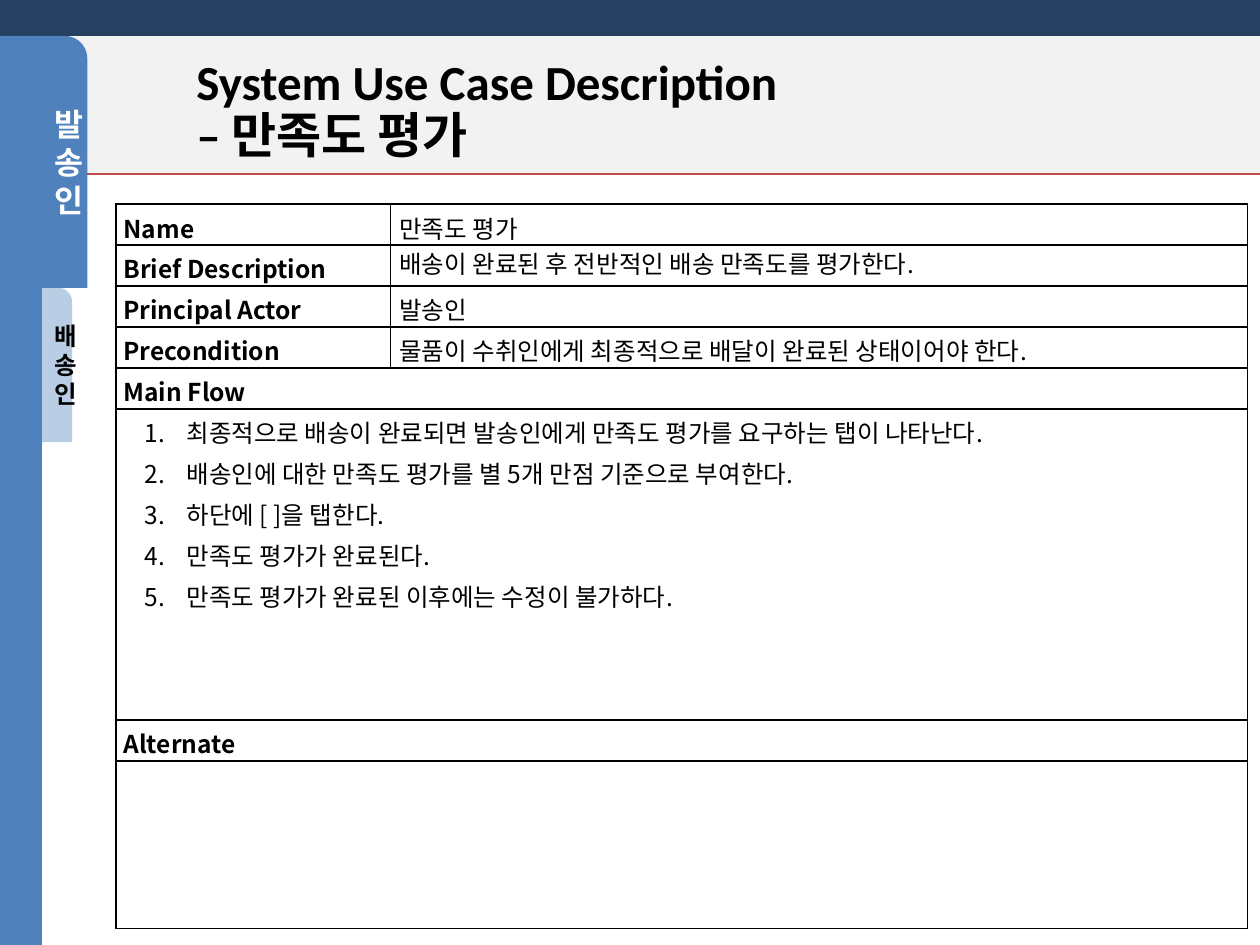
from lxml.etree import SubElement as Sub
from pptx import Presentation
from pptx.dml.color import RGBColor as RGB
from pptx.enum.shapes import MSO_CONNECTOR as Conn, MSO_SHAPE as Kind
from pptx.enum.text import MSO_ANCHOR as Anchor, PP_ALIGN as Align
from pptx.oxml import parse_xml
from pptx.oxml.ns import nsdecls, qn
from pptx.util import Inches as Inch, Pt

BLACK = RGB(0, 0, 0)
WHITE = RGB(255, 255, 255)
GRAY = RGB(0xF2, 0xF2, 0xF2)
NAVY = RGB(0x25, 0x40, 0x61)
BLUE = RGB(0x4F, 0x81, 0xBD)
PALE = RGB(0xB9, 0xCD, 0xE5)
RED = RGB(0xBF, 0x4C, 0x48)
KOR = "Noto Sans CJK KR"

TITLE = "System Use Case Description \v– 만족도 평가"
FACTS = [
    ("Name", "만족도 평가"),
    ("Brief Description", "배송이 완료된 후 전반적인 배송 만족도를 평가한다."),
    ("Principal Actor", "발송인"),
    ("Precondition", "물품이 수취인에게 최종적으로 배달이 완료된 상태이어야 한다."),
]
STEPS = [
    "최종적으로 배송이 완료되면 발송인에게 만족도 평가를 요구하는 탭이 나타난다.",
    "배송인에 대한 만족도 평가를 별 5개 만점 기준으로 부여한다.",
    "하단에 [ ]을 탭한다.",
    "만족도 평가가 완료된다.",
    "만족도 평가가 완료된 이후에는 수정이 불가하다.",
]
FLOWS = [("Main Flow", STEPS, 2.47), ("Alternate", [], 1.33)]
KERNED = ("Name", "Precondition")

WIDE, HIGH = 10, 7.5
TOP, HEAD, SIDE = HIGH * 0.038, 1.38, WIDE / 30
TAB, SPLIT = 0.36, 2.28
COLS = (2.18, 6.8)
ROW = 1.3 / len(FACTS)

deck = Presentation()
deck.slide_width, deck.slide_height = Inch(WIDE), Inch(HIGH)
slide = deck.slides.add_slide(deck.slide_layouts[6])
shapes = slide.shapes


def style(para, size, color, bold, font=KOR, kern=False):
    for run in para.runs:
        face = run.font
        face.size, face.bold, face.name = Pt(size), bold, font
        face.color.rgb = color
        props = run._r.get_or_add_rPr()
        Sub(props, qn("a:ea")).set("typeface", font)
        if not kern:
            props.set("kern", "0")


def block(box, fill, kind=Kind.RECTANGLE):
    shape = shapes.add_shape(kind, *map(Inch, box))
    shape.shadow.inherit = False
    shape.fill.solid()
    shape.fill.fore_color.rgb = fill
    shape.line.fill.background()
    return shape


def tab(box, fill, text, size, color):
    shape = block(box, fill, Kind.ROUND_1_RECTANGLE)
    shape.adjustments[0] = 0.5
    frame = shape.text_frame
    frame.text, frame.word_wrap = text, True
    frame.vertical_anchor = Anchor.MIDDLE
    frame.paragraphs[0].alignment = Align.CENTER
    style(frame.paragraphs[0], size, color, True)


def border(cell):
    props = cell._tc.get_or_add_tcPr()
    for spot, side in enumerate("LRTB"):
        props.insert(spot, parse_xml(
            f'<a:ln{side} {nsdecls("a")} w="12700"><a:solidFill>'
            f'<a:srgbClr val="{BLACK}"/></a:solidFill></a:ln{side}>'))


def write(cell, lines, bold=False, pad=0.06, loose=True, kern=False):
    cell.margin_left = cell.margin_right = Inch(pad)
    cell.text_frame.text = "\n".join(lines)
    for para in cell.text_frame.paragraphs:
        if loose:
            para.alignment, para.line_spacing = Align.JUSTIFY, 1.15
        style(para, 14, BLACK, bold, kern=kern)


def number(para):
    props = para._p.get_or_add_pPr()
    props.set("marL", str(Inch(0.5)))
    props.set("indent", str(Inch(-0.33)))
    tint = Sub(props, qn("a:buClr"))
    Sub(tint, qn("a:srgbClr")).set("val", str(BLACK))
    Sub(props, qn("a:buAutoNum")).set("type", "arabicPeriod")


block((0, 0, WIDE, HEAD), GRAY)
block((0, 0, WIDE, TOP), NAVY)

title = shapes.add_textbox(*map(Inch, (1.46, 0.46, 6.75, 0.85))).text_frame
title.text, title.word_wrap = TITLE, True
title.vertical_anchor = Anchor.MIDDLE
title.paragraphs[0].line_spacing = 0.9
style(title.paragraphs[0], 28, BLACK, True, "Calibri")

highs = [ROW] * len(FACTS) + [h for flow in FLOWS for h in (ROW, flow[2])]
grid = shapes.add_table(len(highs), len(COLS), Inch(0.92), Inch(1.62),
                        Inch(sum(COLS)), Inch(sum(highs))).table
grid.first_row = grid.horz_banding = False
for col, wide in zip(grid.columns, COLS):
    col.width = Inch(wide)
for row, high in zip(grid.rows, highs):
    row.height = Inch(high)
for cell in grid.iter_cells():
    cell.margin_top = cell.margin_bottom = 0
    cell.fill.solid()
    cell.fill.fore_color.rgb = WHITE
    border(cell)

for row, (name, value) in enumerate(FACTS):
    kern = name in KERNED
    write(grid.cell(row, 0), [name], bold=True, kern=kern)
    write(grid.cell(row, 1), [value], pad=0.07,
          loose=name != "Brief Description", kern=kern)
for row in range(len(FACTS), len(highs)):
    grid.cell(row, 0).merge(grid.cell(row, 1))
for spot, (name, steps, high) in enumerate(FLOWS):
    row = len(FACTS) + 2 * spot
    write(grid.cell(row, 0), [name], bold=True)
    if steps:
        body = grid.cell(row + 1, 0)
        write(body, steps)
        for para in body.text_frame.paragraphs:
            number(para)

tab((SIDE, SPLIT, 0.24, 1.23), PALE, "배송인", 14, BLACK)
tab((SIDE, TOP, TAB, 2), BLUE, "발송인", 18, WHITE)

rule = shapes.add_connector(Conn.STRAIGHT, Inch(SIDE + TAB), Inch(HEAD),
                            Inch(WIDE), Inch(HEAD))
rule.line.color.rgb, rule.line.width = RED, Pt(0.75)
Sub(rule._element.spPr, qn("a:effectLst"))

block((0, TOP, SIDE, HIGH - TOP), BLUE)

deck.save("out.pptx")
